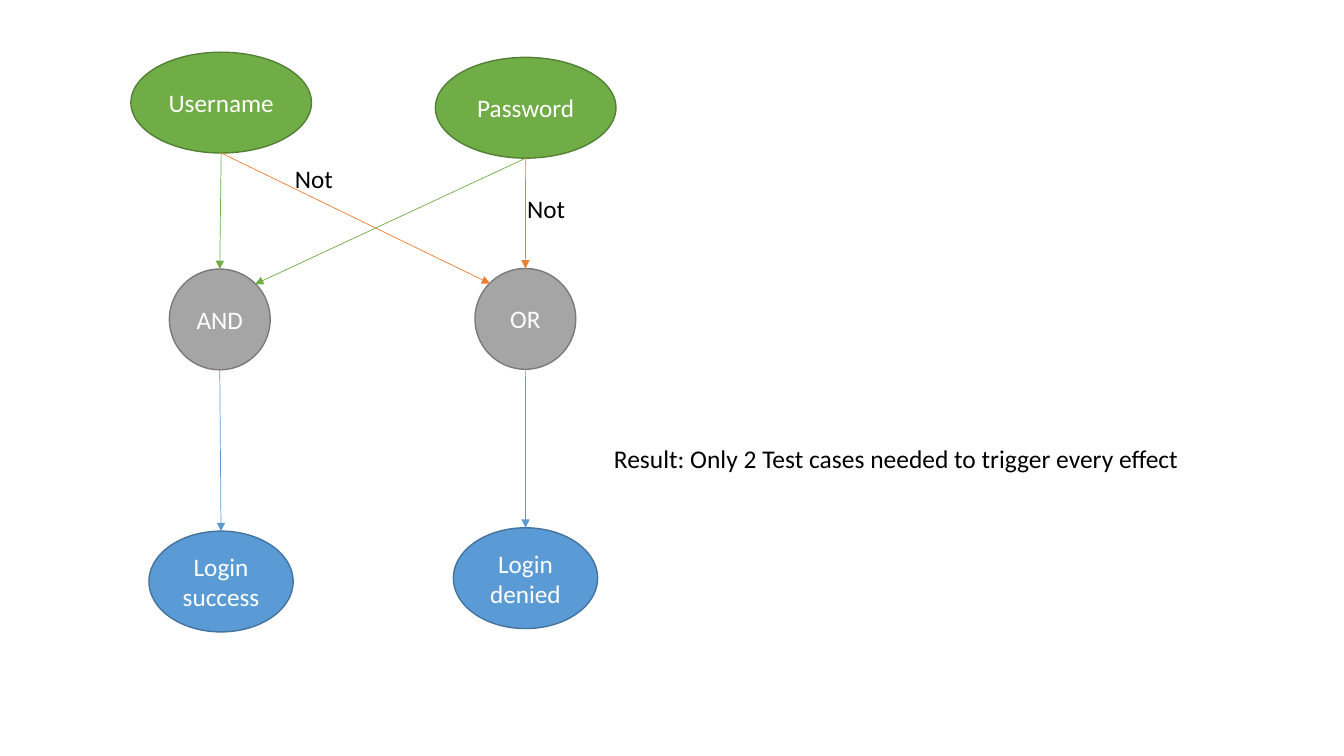
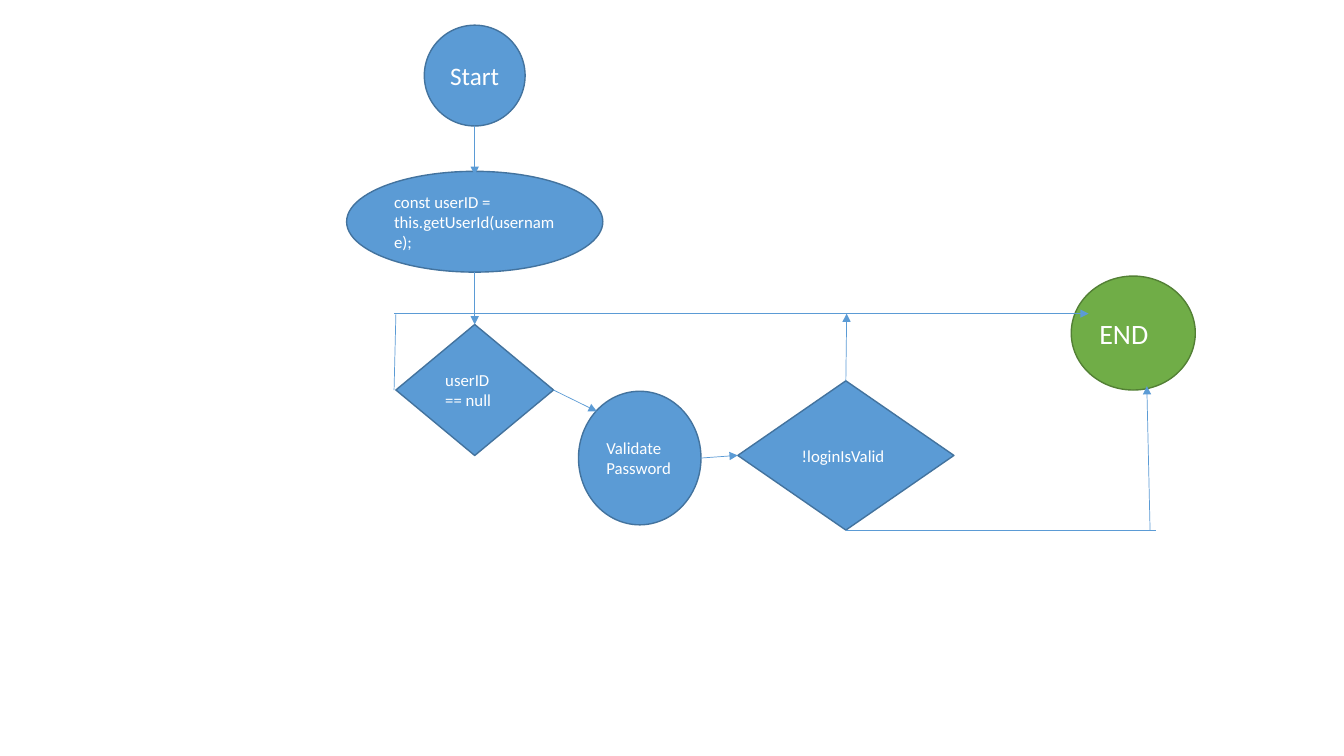
"""Build a cause-effect graph and a login control-flow graph."""
from dataclasses import dataclass

from lxml import etree
from pptx import Presentation
from pptx.dml.color import RGBColor
from pptx.enum import shapes, text
from pptx.oxml.ns import qn
from pptx.util import Pt

Point = tuple[float, float]


@dataclass(frozen=True)
class Paint:
    """Fill and outline colours of a node."""
    fill: str
    line: str


@dataclass(frozen=True)
class Theme:
    """Colours, font and type sizes of the deck."""
    font: str = "Calibri"
    green: Paint = Paint("70AD47", "538035")
    blue: Paint = Paint("5B9BD5", "43739E")
    grey: Paint = Paint("A5A5A5", "7A7A7A")
    orange: str = "ED7D31"
    white: str = "FFFFFF"
    black: str = "000000"
    code: float = 12
    body: float = 18
    result: float = 18.2
    end: float = 20
    outline: float = 1
    edge: float = 0.5


THEME = Theme()
OVAL = shapes.MSO_SHAPE.OVAL
DIAMOND = shapes.MSO_SHAPE.DIAMOND
DECISION = shapes.MSO_SHAPE.FLOWCHART_DECISION
CENTER = text.PP_ALIGN.CENTER
LEFT = text.PP_ALIGN.LEFT
TOP, BOTTOM = (0.5, 0), (0.5, 1)
LEFT_SIDE, RIGHT_SIDE = (0, 0.5), (1, 0.5)
UPPER_LEFT, UPPER_RIGHT = (0.15, 0.15), (0.85, 0.15)


@dataclass(frozen=True)
class Node:
    """A labelled shape of a graph."""
    label: str
    x: float
    y: float
    w: float
    h: float
    paint: Paint = THEME.blue
    kind: shapes.MSO_SHAPE = OVAL
    size: float = THEME.code
    align: text.PP_ALIGN = LEFT

    def at(self, site: Point) -> Point:
        """Return the place of a site given as fractions of the box."""
        return self.x + site[0] * self.w, self.y + site[1] * self.h


@dataclass(frozen=True)
class Edge:
    """A line between two points, with an arrowhead at its end."""
    start: Point
    end: Point
    color: str = THEME.blue.fill
    arrow: bool = True


@dataclass(frozen=True)
class Label:
    """A free line of text."""
    words: str
    x: float
    y: float
    w: float
    size: float = THEME.body


def rgb(color: str) -> RGBColor:
    """Turn a hex string into a colour."""
    return RGBColor.from_string(color)


def write(tf, words: str, size: float, color: str, align: text.PP_ALIGN) -> None:
    """Fill a text frame and format its runs."""
    tf.text = words
    for p in tf.paragraphs:
        p.alignment = align
        for r in p.runs:
            r.font.name = THEME.font
            r.font.size = Pt(size)
            r.font.color.rgb = rgb(color)


def add_node(slide, node: Node) -> None:
    """Draw one node."""
    sp = slide.shapes.add_shape(node.kind, Pt(node.x), Pt(node.y), Pt(node.w), Pt(node.h))
    sp.shadow.inherit = False
    sp.fill.solid()
    sp.fill.fore_color.rgb = rgb(node.paint.fill)
    sp.line.color.rgb = rgb(node.paint.line)
    sp.line.width = Pt(THEME.outline)
    tf = sp.text_frame
    tf.word_wrap = True
    tf.vertical_anchor = text.MSO_ANCHOR.MIDDLE
    write(tf, node.label, node.size, THEME.white, node.align)


def add_edge(slide, edge: Edge) -> None:
    """Draw one edge."""
    ends = [Pt(v) for v in (*edge.start, *edge.end)]
    cxn = slide.shapes.add_connector(shapes.MSO_CONNECTOR.STRAIGHT, *ends)
    cxn.line.color.rgb = rgb(edge.color)
    cxn.line.width = Pt(THEME.edge)
    sp_pr = cxn.line._get_or_add_ln().getparent()
    if edge.arrow:
        etree.SubElement(sp_pr.find(qn("a:ln")), qn("a:tailEnd"), type="triangle")
    etree.SubElement(sp_pr, qn("a:effectLst"))


def add_label(slide, label: Label) -> None:
    """Draw one free label."""
    sp = slide.shapes.add_textbox(Pt(label.x), Pt(label.y), Pt(label.w), Pt(29))
    sp.text_frame.word_wrap = True
    write(sp.text_frame, label.words, label.size, THEME.black, LEFT)


def add_graph(prs, nodes: list[Node], edges: list[Edge], labels: list[Label]) -> None:
    """Add a slide that holds one graph."""
    slide = prs.slides.add_slide(prs.slide_layouts[6])
    for node in nodes:
        add_node(slide, node)
    for edge in edges:
        add_edge(slide, edge)
    for label in labels:
        add_label(slide, label)


def cause_effect(prs) -> None:
    """Add the graph from login inputs to login results."""
    def node(words: str, x: float, y: float, w: float, paint: Paint) -> Node:
        return Node(words, x, y, w, 72, paint, OVAL, THEME.body, CENTER)

    username = node("Username", 93.5, 37.3, 129, THEME.green)
    password = node("Password", 311, 41, 129, THEME.green)
    both = node("AND", 121, 192.2, 72, THEME.grey)
    either = node("OR", 339.3, 191.8, 72, THEME.grey)
    success = node("Login success", 106.4, 379.4, 103, THEME.blue)
    denied = node("Login denied", 323.9, 377, 103, THEME.blue)
    green, orange = THEME.green.fill, THEME.orange
    edges = [
        Edge(password.at(BOTTOM), both.at(UPPER_RIGHT), green),
        Edge(both.at(BOTTOM), success.at(TOP)),
        Edge(username.at(BOTTOM), both.at(TOP), green),
        Edge(username.at(BOTTOM), either.at(UPPER_LEFT), orange),
        Edge(password.at(BOTTOM), either.at(TOP), orange),
        Edge(either.at(BOTTOM), denied.at(TOP)),
    ]
    labels = [
        Label("Not", 203.6, 113, 42),
        Label("Not", 369.4, 134.6, 42),
        Label("Result: Only 2 Test cases needed to trigger every effect",
              431.4, 313, 430, THEME.result),
    ]
    add_graph(prs, [username, password, both, either, success, denied], edges, labels)


def control_flow(prs) -> None:
    """Add the control flow of the login function."""
    start = Node("Start", 303.1, 18, 72, 72, size=THEME.body, align=CENTER)
    get_id = Node("const userID = this.getUserId(username);", 247.6, 122.4, 183, 72)
    is_null = Node("userID == null", 282.8, 231.8, 112.6, 93.6, kind=DIAMOND)
    validate = Node("Validate\vPassword", 413.2, 279.5, 87.5, 95.4)
    invalid = Node("!loginIsValid", 527, 272, 154.4, 106.6, kind=DECISION)
    end = Node("END", 765.2, 197.2, 88.6, 81.4, THEME.green, size=THEME.end)
    exit_y, exit_x = 224, 281.5
    return_y = invalid.at(BOTTOM)[1]
    edges = [
        Edge(start.at(BOTTOM), (339.1, 125)),
        Edge(get_id.at(BOTTOM), is_null.at(TOP)),
        Edge(is_null.at(RIGHT_SIDE), validate.at(UPPER_LEFT)),
        Edge(validate.at(RIGHT_SIDE), invalid.at(LEFT_SIDE)),
        Edge(invalid.at(TOP), (604.8, exit_y)),
        Edge((821.5, return_y), (819.2, 275.8)),
        Edge((exit_x, exit_y), (777.6, exit_y)),
        Edge((exit_x, is_null.at(LEFT_SIDE)[1]), (282.8, exit_y), arrow=False),
        Edge(invalid.at(BOTTOM), (825.8, return_y), arrow=False),
    ]
    add_graph(prs, [start, get_id, is_null, validate, invalid, end], edges, [])


def main() -> None:
    """Build and save the deck."""
    prs = Presentation()
    prs.slide_width, prs.slide_height = Pt(960), Pt(540)
    cause_effect(prs)
    control_flow(prs)
    prs.save("out.pptx")


if __name__ == "__main__":
    main()
